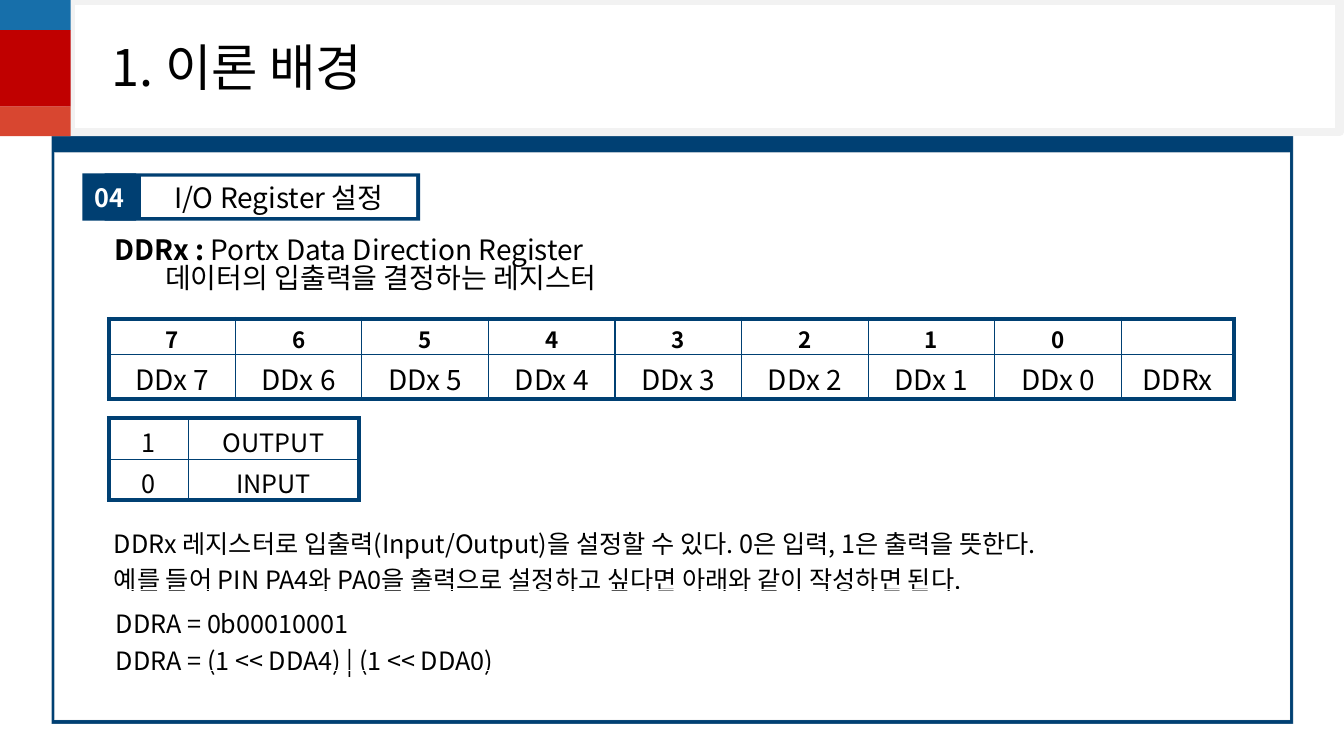
"""Build the slide about setting the DDRx I/O register."""
from lxml.etree import SubElement
from pptx import Presentation
from pptx.dml.color import RGBColor
from pptx.enum.shapes import MSO_SHAPE
from pptx.enum.text import MSO_ANCHOR, PP_ALIGN
from pptx.oxml.ns import qn
from pptx.util import Cm, Pt

FONT = "Noto Sans CJK KR"
COLORS = {
    "navy": "004073", "label": "003F72", "white": "FFFFFF", "black": "000000",
    "edge": "D9D9D9", "frame": "F2F2F2",
    "blue": "176FAA", "red": "C00000", "coral": "D84630",
}


def write(para, text, size=18, bold=False, color="black", align=PP_ALIGN.LEFT):
    para.alignment = align
    if not text:
        SubElement(para._p, qn("a:endParaRPr"), sz=str(size * 100))
        return
    span = para.add_run()
    span.text = text
    span.font.size = Pt(size)
    span.font.bold = bold
    span.font.name = FONT
    span.font.color.rgb = RGBColor.from_string(COLORS[color])
    SubElement(span._r.get_or_add_rPr(), qn("a:ea"), typeface=FONT)


def add_block(shapes, bounds, color, kind=MSO_SHAPE.RECTANGLE, edge=None, width=0):
    block = shapes.add_shape(kind, *[Cm(length) for length in bounds])
    block.shadow.inherit = False
    block.fill.solid()
    block.fill.fore_color.rgb = RGBColor.from_string(COLORS[color])
    if edge:
        block.line.color.rgb = RGBColor.from_string(COLORS[edge])
        block.line.width = Pt(width)
    else:
        block.line.fill.background()
    block.text_frame.vertical_anchor = MSO_ANCHOR.MIDDLE
    return block


deck = Presentation()
deck.slide_width, deck.slide_height = Cm(33.87), Cm(19.05)
page = deck.slides.add_slide(deck.slide_layouts[6])

for bounds, color in [
    ((1.3, 3.43, 31.29, 14.81), "navy"),
    ((1.37, 3.84, 31.14, 14.3), "white"),
]:
    panel = add_block(page.shapes, bounds, color, MSO_SHAPE.ROUNDED_RECTANGLE, "edge", 0.25)
    panel.adjustments[0] = 0
    for tint in panel.line._ln.iter(qn("a:srgbClr")):
        SubElement(tint, qn("a:alpha"), val="43000")

title = add_block(page.shapes, (1.78, 0.03, 31.98, 3.3), "white", edge="frame", width=6)
title.text_frame.margin_left = Cm(1.04)
write(title.text_frame.paragraphs[0], "1. 이론 배경", size=36)

heading = page.shapes.add_group_shape()
add_block(heading.shapes, (2.64, 4.37, 7.95, 1.19), "label")
caption = add_block(heading.shapes, (3.56, 4.45, 6.93, 1.02), "white")
write(caption.text_frame.paragraphs[0], "I/O Register 설정", size=20, align=PP_ALIGN.CENTER)
number = add_block(page.shapes, (2.08, 4.37, 1.35, 1.19), "label")
write(number.text_frame.paragraphs[0], "04", bold=True, color="white", align=PP_ALIGN.CENTER)

flag = page.shapes.add_group_shape()
for top, height, color in [(-0.03, 0.79, "blue"), (0.76, 1.93, "red"), (2.69, 0.74, "coral")]:
    add_block(flag.shapes, (-0.03, top, 1.81, height), color)

box = page.shapes.add_textbox(Cm(2.64), Cm(5.87), Cm(16.94), Cm(1.96))
box.text_frame.word_wrap = True
para = box.text_frame.paragraphs[0]
para.line_spacing = 0.84
write(para, "DDRx : ", size=20, bold=True)
write(para, "Portx Data Direction Register", size=20)
para = box.text_frame.add_paragraph()
para.line_spacing = 0.84
write(para, "\t데이터의 입출력을 결정하는 레지스터", size=20)

values = [["1", "OUTPUT"], ["0", "INPUT"]]
register = [
    [str(bit) for bit in range(7, -1, -1)] + [""],
    [f"DDx {bit}" for bit in range(7, -1, -1)] + ["DDRx"],
]
code = [["DDRA = 0b00010001\nDDRA = (1 << DDA4) | (1 << DDA0)"]]
notes = [[
    "DDRx 레지스터로 입출력(Input/Output)을 설정할 수 있다. 0은 입력, 1은 출력을 뜻한다.\n"
    "예를 들어 PIN PA4와 PA0을 출력으로 설정하고 싶다면 아래와 같이 작성하면 된다."
]]
center, left_side = PP_ALIGN.CENTER, PP_ALIGN.LEFT
top_anchor, middle = MSO_ANCHOR.TOP, MSO_ANCHOR.MIDDLE
tables = [
    (values, 2.74, 10.54, [2.01, 4.29], [1.03, 1.03], [18, 18],
     [top_anchor, top_anchor], center, "navy", 3, 0.12),
    (register, 2.74, 8.03, [3.19] * 8 + [2.84], [0.91, 1.12], [16, 20],
     [MSO_ANCHOR.BOTTOM, top_anchor], center, "navy", 3, 0.09),
    (code, 2.74, 15.11, [12.14], [1.78], [18], [middle], left_side, "white", 1, 0.12),
    (notes, 2.69, 13.08, [28.5], [1.78], [18], [middle], left_side, "white", 1, 0.12),
]
for rows, left, top, widths, heights, sizes, anchors, align, border, outer, margin in tables:
    grid = page.shapes.add_table(
        len(rows), len(widths), Cm(left), Cm(top), Cm(sum(widths)), Cm(sum(heights))
    ).table
    grid.first_row = grid.horz_banding = False
    for column, width in zip(grid.columns, widths):
        column.width = Cm(width)
    for y, texts in enumerate(rows):
        grid.rows[y].height = Cm(heights[y])
        for x, text in enumerate(texts):
            cell = grid.cell(y, x)
            cell.margin_left = cell.margin_right = Cm(0.18)
            cell.margin_top, cell.margin_bottom = Cm(margin), 0
            cell.vertical_anchor = anchors[y]
            sides = {
                "a:lnL": x == 0, "a:lnR": x == len(widths) - 1,
                "a:lnT": y == 0, "a:lnB": y == len(rows) - 1,
            }
            for side, is_outer in sides.items():
                weight = Pt(outer if is_outer else 1)
                line = SubElement(cell._tc.get_or_add_tcPr(), qn(side), w=str(weight))
                fill = SubElement(line, qn("a:solidFill"))
                SubElement(fill, qn("a:srgbClr"), val=COLORS[border])
            cell.fill.background()
            for index, sentence in enumerate(text.split("\n")):
                frame = cell.text_frame
                para = frame.add_paragraph() if index else frame.paragraphs[0]
                bold = rows is register and y == 0
                write(para, sentence, size=sizes[y], bold=bold, align=align)

deck.save("out.pptx")
